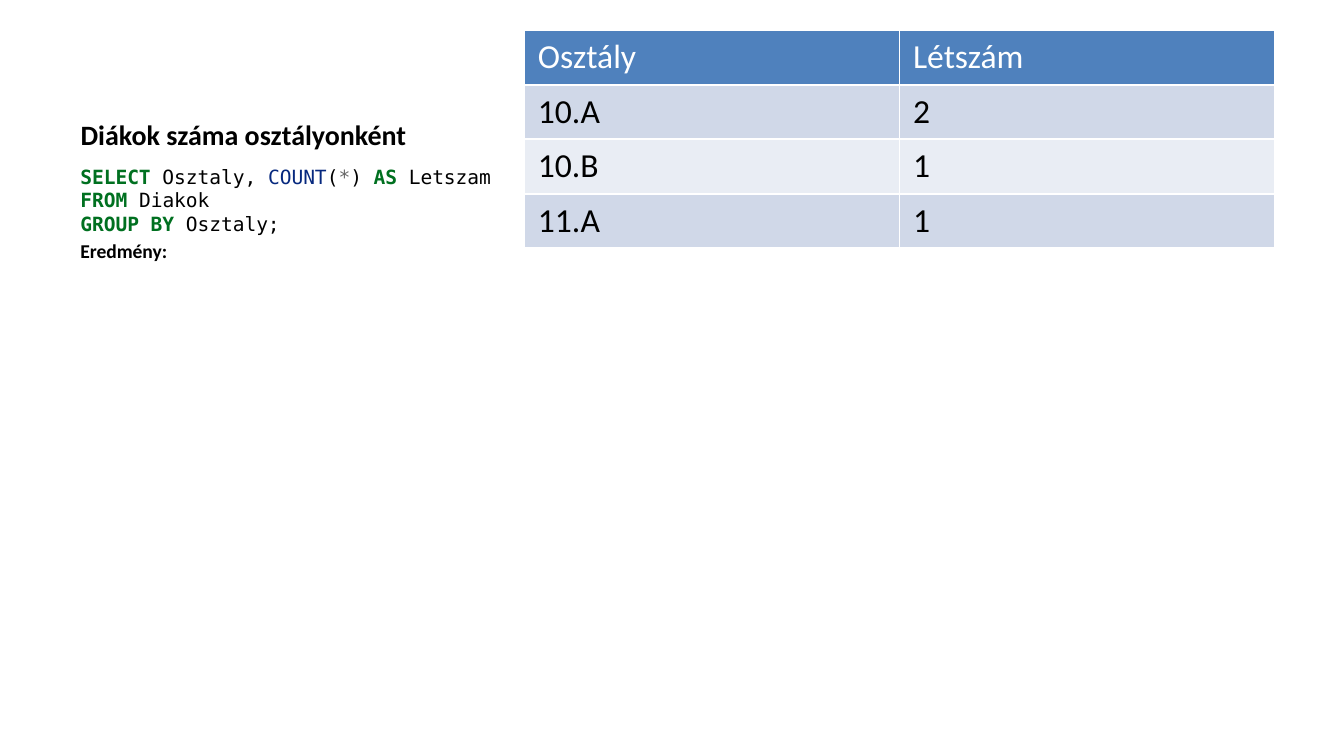
"""Build a slide with a grouped SQL query and its result table."""
from pptx import Presentation
from pptx.dml.color import RGBColor
from pptx.enum import text as t
from pptx.util import Pt

BLACK = RGBColor(0x00, 0x00, 0x00)
WHITE = RGBColor(0xFF, 0xFF, 0xFF)
GREEN = RGBColor(0x00, 0x70, 0x20)
NAVY = RGBColor(0x06, 0x28, 0x7E)
GRAY = RGBColor(0x66, 0x66, 0x66)
HEAD = RGBColor(0x4F, 0x81, 0xBD)
BANDS = [RGBColor(0xE9, 0xED, 0xF4), RGBColor(0xD0, 0xD8, 0xE8)]
SANS = "Calibri"
MONO = "DejaVu Sans Mono"


def style(run, face, size, color, bold=False):
    """Set the font of a run."""
    font = run.font
    font.name, font.size, font.bold = face, Pt(size), bold
    font.color.rgb = color


deck = Presentation()
deck.slide_width, deck.slide_height = Pt(720), Pt(405)
slide = deck.slides.add_slide(deck.slide_layouts[5])

title = slide.shapes.title
title.left, title.top, title.width, title.height = Pt(36), Pt(16), Pt(237), Pt(68.5)
title.text_frame.text = "Diákok száma osztályonként"
title.text_frame.vertical_anchor = t.MSO_ANCHOR.BOTTOM
head = title.text_frame.paragraphs[0]
head.alignment = t.PP_ALIGN.LEFT
style(head.runs[0], SANS, 15, BLACK, True)

body = slide.shapes.add_textbox(Pt(36), Pt(84.75), Pt(237), Pt(277)).text_frame
body.word_wrap = True
query = [
    [("SELECT", GREEN), (" Osztaly, ", BLACK), ("COUNT", NAVY), ("(", BLACK),
     ("*", GRAY), (") ", BLACK), ("AS", GREEN), (" Letszam", BLACK)],
    [("FROM", GREEN), (" Diakok", BLACK)],
    [("GROUP BY", GREEN), (" Osztaly;", BLACK)],
]
code = body.paragraphs[0]
for i, line in enumerate(query):
    if i:
        code.add_line_break()
    for word, color in line:
        run = code.add_run()
        run.text = word
        style(run, MONO, 10.5, color, color == GREEN)
label = body.add_paragraph()
label.text = "Eredmény:"
style(label.runs[0], SANS, 10.5, BLACK, True)
for para in (code, label):
    para.space_before = Pt(2.1)

rows = [("Osztály", "Létszám"), ("10.A", "2"), ("10.B", "1"), ("11.A", "1")]
table = slide.shapes.add_table(4, 2, Pt(281), Pt(16.2), Pt(402), Pt(116.8)).table
for r, row in enumerate(rows):
    for c, value in enumerate(row):
        cell = table.cell(r, c)
        cell.text_frame.text = value
        cell.fill.solid()
        cell.fill.fore_color.rgb = BANDS[r % 2] if r else HEAD
        style(cell.text_frame.paragraphs[0].runs[0], SANS, 18, BLACK if r else WHITE)

deck.save("out.pptx")
